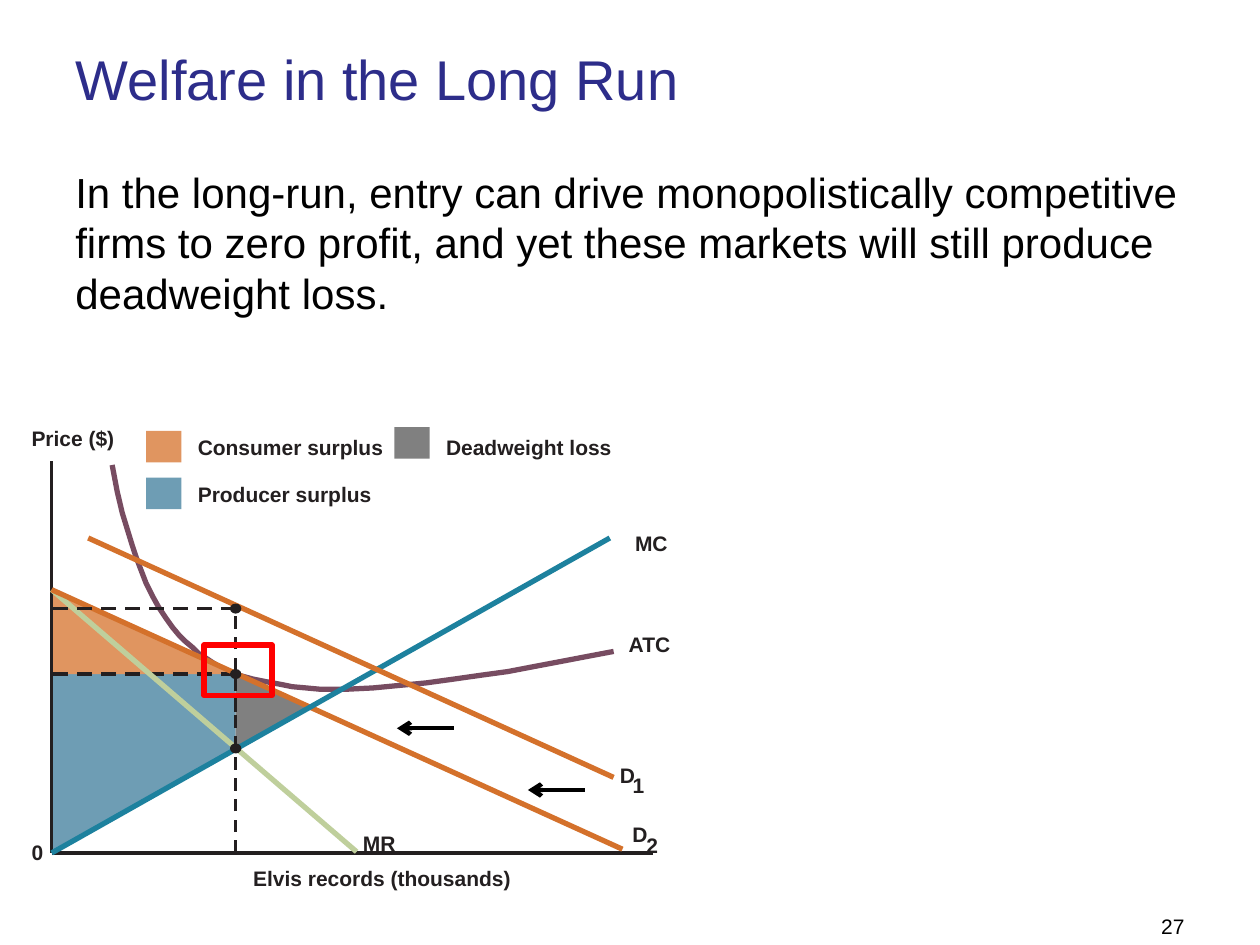
from dataclasses import dataclass
from lxml.etree import SubElement
from pptx import Presentation
from pptx.dml.color import RGBColor as RGB
from pptx.enum.shapes import MSO_CONNECTOR as Conn, MSO_SHAPE as Shape
from pptx.enum.text import MSO_ANCHOR as Anchor, MSO_AUTO_SIZE as AutoSize, PP_ALIGN as Align
from pptx.oxml.ns import qn
from pptx.util import Inches, Pt


@dataclass(frozen=True)
class Theme:
    font: str = "Arial"
    title: str = "2D2D8A"
    text: str = "000000"
    ink: str = "231F20"
    consumer: str = "E09560"
    producer: str = "6E9DB4"
    loss: str = "808080"
    demand: str = "D4712B"
    mc: str = "1D819E"
    mr: str = "BFCF9C"
    atc: str = "774C61"
    highlight: str = "FF0000"
    title_size: int = 32
    body_size: int = 24
    label_size: int = 12
    hairline: float = 0
    curve: float = 3


T = Theme()

# Key positions on the diagram, in inches
AXIS_X, AXIS_Y = 0.41, 6.77
QTY = 1.87
PRICE_1, PRICE_2, COST = 4.83, 5.35, 5.94
ORIGIN, CHOKE = (AXIS_X, AXIS_Y), (AXIS_X, 4.68)
OLD_PRICE, NEW_PRICE, MR_MC = (QTY, PRICE_1), (QTY, PRICE_2), (QTY, COST)
EFFICIENT = (2.46, 5.61)

ATC_POINTS = [
    (0.89, 3.69), (0.93, 3.9), (0.97, 4.07), (1.05, 4.33), (1.08, 4.42),
    (1.11, 4.5), (1.16, 4.63), (1.21, 4.73), (1.26, 4.82), (1.32, 4.91),
    (1.37, 4.98), (1.42, 5.04), (1.47, 5.09), (1.53, 5.14), (1.58, 5.19),
    (1.63, 5.22), (1.69, 5.26), (1.74, 5.29), (1.79, 5.32), (1.9, 5.36),
    (2.01, 5.39), (2.11, 5.41), (2.22, 5.43), (2.32, 5.45), (2.43, 5.46),
    (2.54, 5.47), (2.75, 5.47), (2.96, 5.46), (3.17, 5.44), (3.38, 5.42),
    (3.6, 5.39), (3.81, 5.36), (4.03, 5.33), (4.24, 5.29), (4.45, 5.25),
    (4.66, 5.21), (4.87, 5.17)]

AREAS = [
    ([MR_MC, ORIGIN, (AXIS_X, PRICE_2), NEW_PRICE], T.producer),
    ([NEW_PRICE, (AXIS_X, PRICE_2), CHOKE], T.consumer),
    ([NEW_PRICE, EFFICIENT, MR_MC], T.loss)]

CURVES = [
    (CHOKE, (2.83, 6.76), T.mr),
    (CHOKE, (4.94, 6.74), T.demand),
    ((4.84, 4.27), ORIGIN, T.mc),
    ((0.7, 4.27), (4.87, 6.17), T.demand)]

LEGEND = [
    ("Deadweight loss", 3.13, 3.39, 3.45, T.loss),
    ("Producer surplus", 1.16, 3.79, 3.82, T.producer),
    ("Consumer surplus", 1.16, 3.42, 3.45, T.consumer)]

AXIS_LABELS = [
    ("0", 0.25, 6.66, 0.12), ("Price ($)", 0.25, 3.38, 0.88),
    ("Elvis records (thousands)", 2.01, 6.87, 2.73)]

CURVE_LABELS = [
    ("MC", 5.04, 4.21, 0.34), ("MR", 2.88, 6.59, 0.34), ("ATC", 4.99, 5.01, 0.44),
    ("D", 5.02, 6.52, 0.16), ("D", 4.92, 6.05, 0.16),
    ("2", 5.13, 6.61, 0.09, 0.2), ("1", 5.02, 6.13, 0.09, 0.2)]


def rgb(value):
    return RGB.from_string(value)


def set_all(obj, values):
    for name, value in values.items():
        setattr(obj, name, value)


def write(shape, text, size, color, bold=False, align=Align.LEFT, **frame):
    tf = shape.text_frame
    set_all(tf, {"word_wrap": True, "vertical_anchor": Anchor.TOP, **frame})
    p = tf.paragraphs[0]
    set_all(p, {"alignment": align, "space_before": Pt(0)})
    r = p.add_run()
    r.text = text
    set_all(r.font, {"name": T.font, "size": Pt(size), "bold": bold})
    r.font.color.rgb = rgb(color)


def text_box(s, box):
    return s.shapes.add_textbox(*map(Inches, box))


def label(s, text, x, y, w, h=0.3):
    write(text_box(s, (x, y, w, h)), text, T.label_size, T.ink, bold=True,
          word_wrap=False, auto_size=AutoSize.SHAPE_TO_FIT_TEXT,
          margin_left=0, margin_top=0, margin_right=0, margin_bottom=0)


def paint(shape, fill=None, line=None, width=T.curve):
    shape.shadow.inherit = False
    for part, color in ((shape.fill, fill), (shape.line.fill, line)):
        if color:
            part.solid()
            part.fore_color.rgb = rgb(color)
        else:
            part.background()
    if line:
        shape.line.width = Pt(width)


def preset(s, kind, box, **look):
    paint(s.shapes.add_shape(kind, *map(Inches, box)), **look)


def outline(s, points, close=True, **look):
    pts = [(Inches(x), Inches(y)) for x, y in points]
    builder = s.shapes.build_freeform(*pts[0])
    builder.add_line_segments(pts[1:], close=close)
    paint(builder.convert_to_shape(), **look)


def line(s, start, end, color, width, arrow=False):
    c = s.shapes.add_connector(Conn.STRAIGHT, *map(Inches, (*start, *end)))
    c.line.color.rgb = rgb(color)
    c.line.width = Pt(width)
    if arrow:
        SubElement(c.line._get_or_add_ln(), qn("a:tailEnd"), type="arrow")
    SubElement(c._element.spPr, qn("a:effectLst"))


def guide_left(s, y):
    for i in range(8):
        x = QTY - 0.19 * i
        line(s, (x, y), (x - 0.12, y), T.ink, T.hairline)


def guide_up(s, bottom, count):
    for i in range(count):
        y = bottom - 0.165 * i
        line(s, (QTY, y), (QTY, y - 0.1), T.ink, T.hairline)


def diagram(s):
    # Cost curve and welfare areas
    outline(s, ATC_POINTS, close=False, line=T.atc)
    for points, color in AREAS:
        outline(s, points, fill=color)

    # Axes and their labels
    for end in ((AXIS_X, 3.66), (5.18, AXIS_Y)):
        line(s, ORIGIN, end, T.ink, T.hairline)
    for item in AXIS_LABELS:
        label(s, *item)

    # Legend
    for text, x, y, text_y, color in LEGEND:
        preset(s, Shape.RECTANGLE, (x, y, 0.28, 0.25), fill=color)
        label(s, text, x + 0.41, text_y, 1.8)

    # Straight curves and dashed guides
    guide_left(s, PRICE_2)
    for start, end, color in CURVES:
        line(s, start, end, color, T.curve)
    guide_left(s, PRICE_1)
    for bottom, count in ((AXIS_Y, 5), (COST, 4), (5.65, 5)):
        guide_up(s, bottom, count)

    # Marked points and the highlighted tangency
    for x, y in (OLD_PRICE, NEW_PRICE, MR_MC):
        preset(s, Shape.OVAL, (x - 0.045, y - 0.04, 0.09, 0.08), fill=T.ink)
    preset(s, Shape.RECTANGLE, (1.62, 5.12, 0.54, 0.4), line=T.highlight)

    # Demand shift
    for x, y in ((3.15, 5.78), (4.19, 6.27)):
        line(s, (x + 0.45, y), (x, y), T.text, 2.5, arrow=True)

    for item in CURVE_LABELS:
        label(s, *item)


def main():
    prs = Presentation()
    set_all(prs, {"slide_width": Inches(10), "slide_height": Inches(7.5)})
    s = prs.slides.add_slide(prs.slide_layouts[5])

    # Title, statement and slide number
    title = s.shapes.title
    set_all(title, {"left": Inches(0.5), "top": Inches(0.3),
                    "width": Inches(9), "height": Inches(0.87)})
    write(title, "Welfare in the Long Run", T.title_size, T.title)
    write(text_box(s, (0.5, 1.27, 9, 5.65)),
          "In the long-run, entry can drive monopolistically competitive firms to "
          "zero profit, and yet these markets will still produce deadweight loss.",
          T.body_size, T.text)
    write(text_box(s, (8.67, 7.25, 0.83, 0.25)), "27", T.label_size, T.text,
          align=Align.RIGHT, vertical_anchor=Anchor.BOTTOM)

    diagram(s)
    prs.save("out.pptx")


if __name__ == "__main__":
    main()
